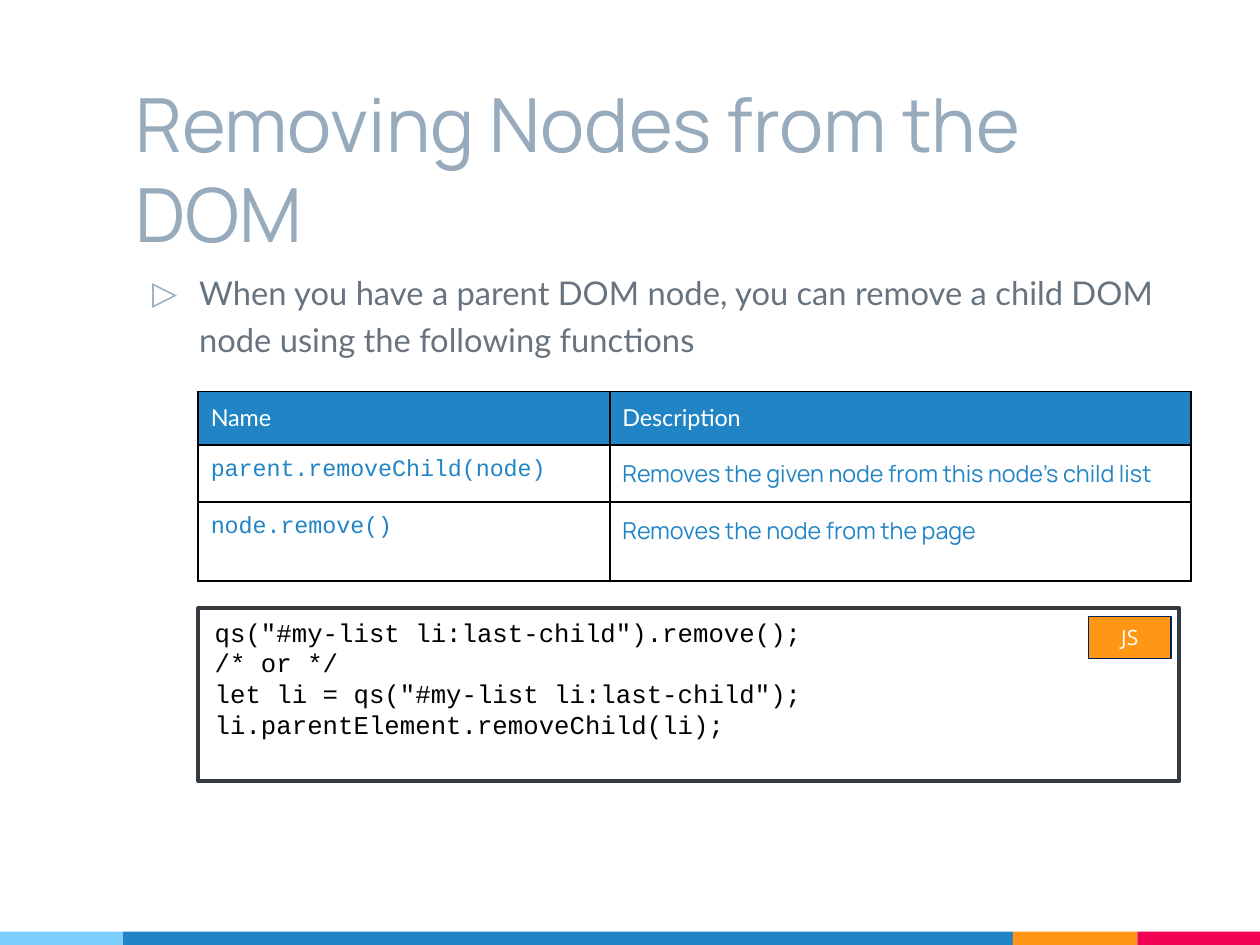
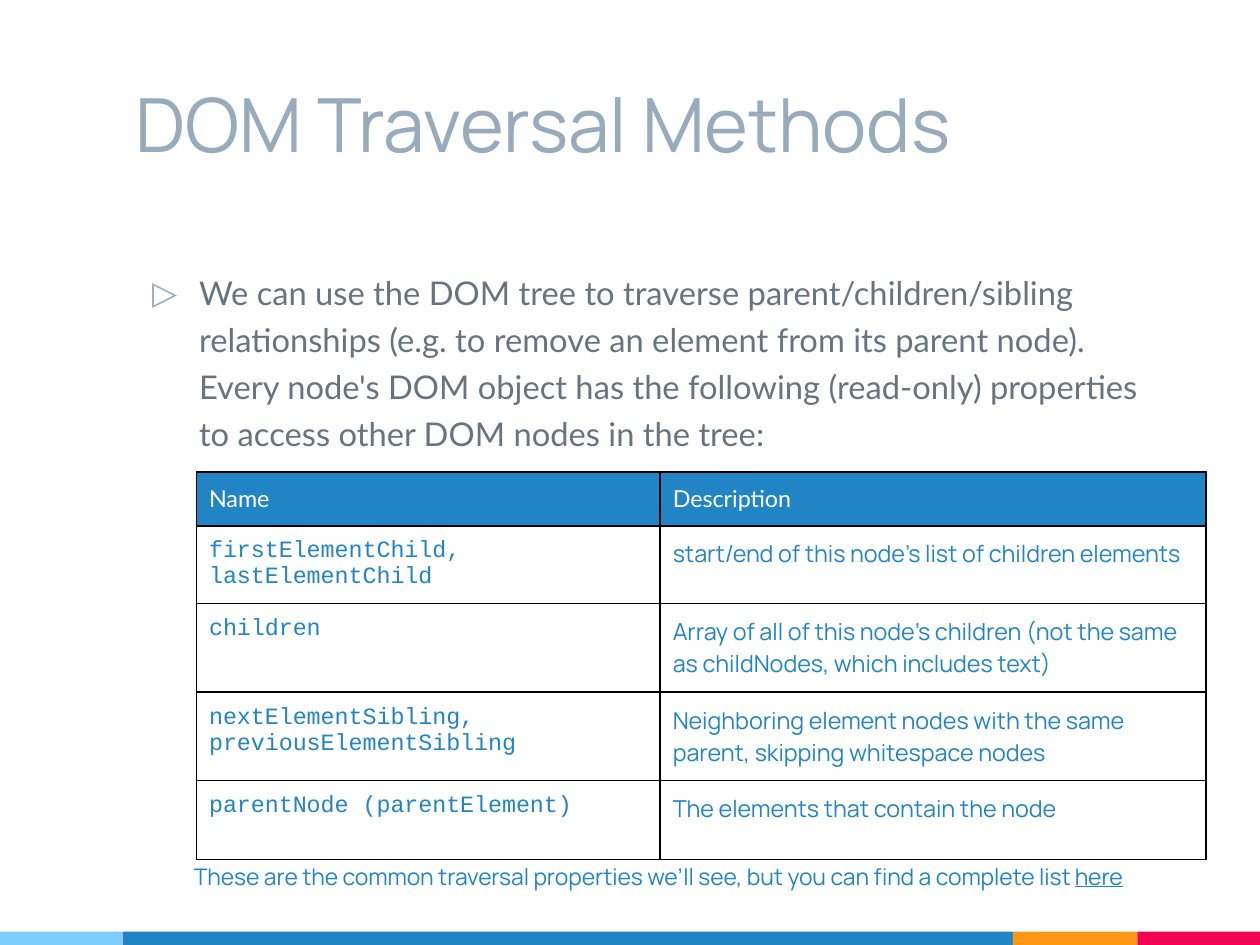
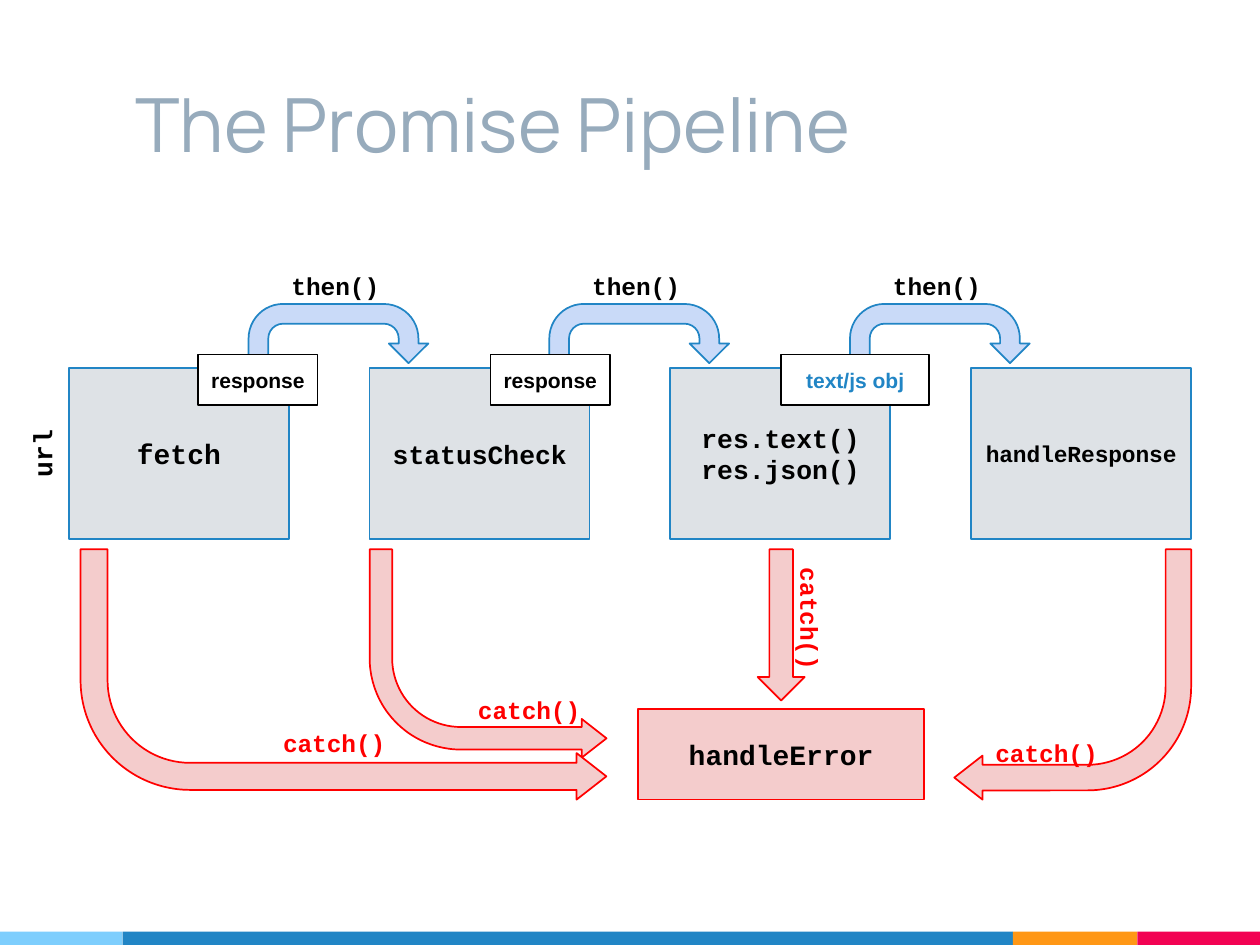
from lxml.etree import SubElement
from pptx import Presentation
from pptx.dml.color import RGBColor
from pptx.enum.shapes import MSO_SHAPE as Shape
from pptx.enum.text import MSO_ANCHOR as Anchor, MSO_AUTO_SIZE as AutoSize, PP_ALIGN as Align
from pptx.oxml.ns import qn
from pptx.util import Inches, Pt

# Shared look
BLUE, SKY, ORANGE, PINK = "2185C5", "7ECEFD", "FF9715", "F20253"
TITLE_GREY, TEXT_GREY, STAGE_GREY, DARK = "97ABBC", "677480", "DEE2E6", "343A40"
BLACK, WHITE, NAVY = "000000", "FFFFFF", "002060"
RED, LIGHT_RED, LIGHT_BLUE = "FF0000", "F4CCCC", "C9DAF8"
HEADING, BODY, CODE, LABEL, TAG = "Manrope", "Lato", "Courier New", "Arial", "Open Sans"
SLIDE_WIDTH = 7.5
SLIDE_HEIGHT = SLIDE_WIDTH * 3 / 4
INSET = Pt(5.4)
TIGHT = (INSET, INSET)
WIDE = (Inches(0.1), Inches(0.05))
BANDS = [(SKY, 0.73), (BLUE, 5.3), (ORANGE, 0.74), (PINK, 0.73)]
BAND_HEIGHT = 0.08

# Slide 1
REMOVING = {
    "title": "Removing Nodes from the DOM",
    "point": "When you have a parent DOM node, you can remove a child DOM node "
             "using the following functions",
    "table_at": (1.18, 2.33),
    "columns": (2.45, 3.46),
    "row_heights": (0.32, 0.32, 0.47),
    "rows": [
        ("Name", "Description"),
        ("parent.removeChild(node)", "Removes the given node from this node’s child list"),
        ("node.remove()", "Removes the node from the page"),
    ],
}
SAMPLE = [
    'qs("#my-list li:last-child").remove();',
    "/* or */",
    'let li = qs("#my-list li:last-child");',
    "li.parentElement.removeChild(li);",
]

# Slide 2
TRAVERSAL = {
    "title": "DOM Traversal Methods",
    "point": "We can use the DOM tree to traverse parent/children/sibling relationships "
             "(e.g. to remove an element from its parent node). Every node's DOM object has "
             "the following (read-only) properties to access other DOM nodes in the tree:",
    "table_at": (1.17, 2.81),
    "columns": (2.76, 3.25),
    "row_heights": (0.32, 0.32, 0.47, 0.47, 0.47),
    "rows": [
        ("Name", "Description"),
        ("firstElementChild, lastElementChild",
         "start/end of this node’s list of children elements"),
        ("children",
         "Array of all of this node’s children (not the same as childNodes, "
         "which includes text)"),
        ("nextElementSibling, previousElementSibling",
         "Neighboring element nodes with the same parent, skipping whitespace nodes"),
        ("parentNode (parentElement)", "The elements that contain the node"),
    ],
}
FOOTNOTE = "These are the common traversal properties we’ll see, but you can find a complete list "

# Slide 3
STAGES = [(["fetch"], 12), (["statusCheck"], 11.25),
          (["res.text()", "res.json()"], 11.25), (["handleResponse"], 9.75)]
STAGE_LEFT, STAGE_STEP = 0.41, 1.79
RESULTS = [("response", 1.18, 0.71, BLACK), ("response", 2.92, 0.71, BLACK),
           ("text/js obj", 4.65, 0.88, BLUE)]
# left, width, height, mirrored
ERROR_BENDS = [(2.2, 1.41, 1.24, True), (5.68, 1.41, 1.49, False), (0.48, 3.13, 1.49, True)]
# left, top, rotation
CATCHES = [(2.77, 4.06, 0), (5.85, 4.32, 0), (4.47, 3.62, 90), (1.61, 4.26, 0)]


def color(value):
    return RGBColor.from_string(value)


def add_span(para, text, size=10, font=BODY, ink=BLACK, bold=False, underline=False):
    span = para.add_run()
    span.text = text
    span.font.size, span.font.name = Pt(size), font
    span.font.color.rgb = color(ink)
    span.font.bold = bold
    if underline:
        span.font.underline = True


def set_text(frame, lines, align=Align.LEFT, **look):
    lines = [lines] if isinstance(lines, str) else lines
    for index, line in enumerate(lines):
        para = frame.paragraphs[0] if index == 0 else frame.add_paragraph()
        para.alignment = align
        add_span(para, line, **look)


def set_frame(frame, inset=TIGHT, anchor=Anchor.TOP):
    frame.word_wrap = True
    frame.auto_size = AutoSize.NONE
    frame.vertical_anchor = anchor
    frame.margin_left = frame.margin_right = inset[0]
    frame.margin_top = frame.margin_bottom = inset[1]


def add_box(page, at, kind=Shape.RECTANGLE, fill=None, line=None, width=0.75, lines=None,
            inset=TIGHT, anchor=Anchor.TOP, adjust=(), **look):
    box = page.shapes.add_shape(kind, *map(Inches, at))
    box.shadow.inherit = False
    if fill:
        box.fill.solid()
        box.fill.fore_color.rgb = color(fill)
    else:
        box.fill.background()
    if line:
        box.line.color.rgb = color(line)
        box.line.width = Pt(width)
    else:
        box.line.fill.background()
    for index, value in enumerate(adjust):
        box.adjustments[index] = value
    if lines:
        set_frame(box.text_frame, inset, anchor)
        set_text(box.text_frame, lines, **look)
    return box


def add_label(page, at, lines, rotation=0, **look):
    box = page.shapes.add_textbox(*map(Inches, at))
    box.rotation = rotation
    set_frame(box.text_frame)
    set_text(box.text_frame, lines, **look)
    return box


def add_bands(page, layout):
    """Put the colour bands on the layout that all slides use."""
    left = 0
    for fill, width in BANDS:
        band = add_box(page, (left, SLIDE_HEIGHT - BAND_HEIGHT, width, BAND_HEIGHT), fill=fill)
        layout.shapes.element.append(band.element)
        left += width


def add_page(deck, title):
    page = deck.slides.add_slide(deck.slide_layouts[5])
    box = page.shapes.title
    box.left, box.top, box.width, box.height = map(Inches, (0.73, 0.39, 6.22, 0.94))
    set_frame(box.text_frame)
    set_text(box.text_frame, title, size=32, font=HEADING, ink=TITLE_GREY)
    return page


def add_point(page, text):
    box = add_label(page, (0.73, 1.5, 6.22, 3.88), text, size=14, ink=TEXT_GREY)
    para = box.text_frame.paragraphs[0]
    para.line_spacing = 1.2
    props = para._p.get_or_add_pPr()
    props.set("marL", str(Inches(0.38)))
    props.set("indent", str(Inches(-0.28)))
    bullet_color = SubElement(props, qn("a:buClr"))
    SubElement(bullet_color, qn("a:srgbClr")).set("val", TITLE_GREY)
    SubElement(props, qn("a:buFont")).set("typeface", BODY)
    SubElement(props, qn("a:buChar")).set("char", "▷")


def add_borders(cell):
    props = cell._tc.get_or_add_tcPr()
    for index, side in enumerate(("lnL", "lnR", "lnT", "lnB")):
        line = props.makeelement(qn(f"a:{side}"), {"w": str(Pt(0.75))})
        fill = SubElement(line, qn("a:solidFill"))
        SubElement(fill, qn("a:srgbClr")).set("val", BLACK)
        props.insert(index, line)


def add_reference_table(page, content):
    rows, columns, heights = content["rows"], content["columns"], content["row_heights"]
    size = (sum(columns), sum(heights))
    frame = page.shapes.add_table(len(rows), len(columns),
                                  *map(Inches, content["table_at"] + size))
    table = frame.table
    table.horz_banding = table.first_row = False
    for column, width in zip(table.columns, columns):
        column.width = Inches(width)
    for index, (row, height) in enumerate(zip(table.rows, heights)):
        row.height = Inches(height)
        for cell, text, font in zip(row.cells, rows[index], (CODE, HEADING)):
            cell.margin_left = cell.margin_right = INSET
            cell.margin_top = cell.margin_bottom = INSET
            if index == 0:
                cell.fill.solid()
                cell.fill.fore_color.rgb = color(BLUE)
                set_text(cell.text_frame, text, ink=WHITE)
            else:
                cell.fill.background()
                set_text(cell.text_frame, text, font=font, ink=BLUE)
            add_borders(cell)


def add_reference_page(deck, content):
    page = add_page(deck, content["title"])
    add_point(page, content["point"])
    add_reference_table(page, content)
    return page


def add_pipeline(page):
    mono = {"font": CODE, "bold": True}
    middle = {"anchor": Anchor.MIDDLE, "align": Align.CENTER}
    error = {"fill": LIGHT_RED, "line": RED}

    # Stages
    for index, (lines, size) in enumerate(STAGES):
        add_box(page, (STAGE_LEFT + index * STAGE_STEP, 2.19, 1.31, 1.02), fill=STAGE_GREY,
                line=BLUE, lines=lines, size=size, **mono, **middle)
    add_label(page, (-0.01, 2.56, 0.46, 0.28), "url", rotation=270, align=Align.CENTER,
              size=11.25, **mono)

    # Error paths
    for left, width, height, mirrored in ERROR_BENDS:
        bend = add_box(page, (left, 3.27, width, height), Shape.BENT_ARROW,
                       adjust=(0.108, 0.093, 0.119, 0.438), **error)
        bend.rotation = 180
        if mirrored:
            bend.element.spPr.find(qn("a:xfrm")).set("flipH", "1")
    add_box(page, (4.51, 3.27, 0.28, 0.9), Shape.DOWN_ARROW, **error)
    add_box(page, (3.8, 4.22, 1.7, 0.54), lines="handleError", size=12,
            **error, **mono, **middle)
    for left, top, rotation in CATCHES:
        add_label(page, (left, top, 0.83, 0.2), "catch()", rotation=rotation, size=10.5,
                  ink=RED, **mono)

    # Success path, with the results on top
    for index, (result, left, width, ink) in enumerate(RESULTS):
        shift = index * STAGE_STEP
        add_box(page, (1.48 + shift, 1.81, 1.07, 0.47), Shape.U_TURN_ARROW, fill=LIGHT_BLUE,
                line=BLUE, adjust=(0.25, 0.25, 0.25, 0.438, 0.75))
        add_label(page, (1.66 + shift, 1.54, 0.75, 0.2), "then()", size=10.5, **mono)
        add_box(page, (left, 2.11, width, 0.3), fill=WHITE, line=BLACK, lines=result,
                align=Align.CENTER, size=9, font=LABEL, ink=ink, bold=True)


def main():
    deck = Presentation()
    deck.slide_width, deck.slide_height = Inches(SLIDE_WIDTH), Inches(SLIDE_HEIGHT)

    page = add_reference_page(deck, REMOVING)
    add_bands(page, page.slide_layout)
    add_box(page, (1.18, 3.62, 5.84, 1.03), line=DARK, width=1.5, lines=SAMPLE,
            inset=WIDE, size=11, font=CODE)
    add_box(page, (6.48, 3.67, 0.49, 0.25), fill=ORANGE, line=NAVY, lines="JS",
            inset=WIDE, align=Align.CENTER, size=9, font=TAG, ink=WHITE)

    page = add_reference_page(deck, TRAVERSAL)
    note_look = {"size": 9.75, "font": HEADING, "ink": BLUE}
    note = add_label(page, (1.08, 5.06, 6.7, 0.34), FOOTNOTE, **note_look)
    add_span(note.text_frame.paragraphs[0], "here", underline=True, **note_look)

    add_pipeline(add_page(deck, "The Promise Pipeline"))
    deck.save("out.pptx")


if __name__ == "__main__":
    main()
